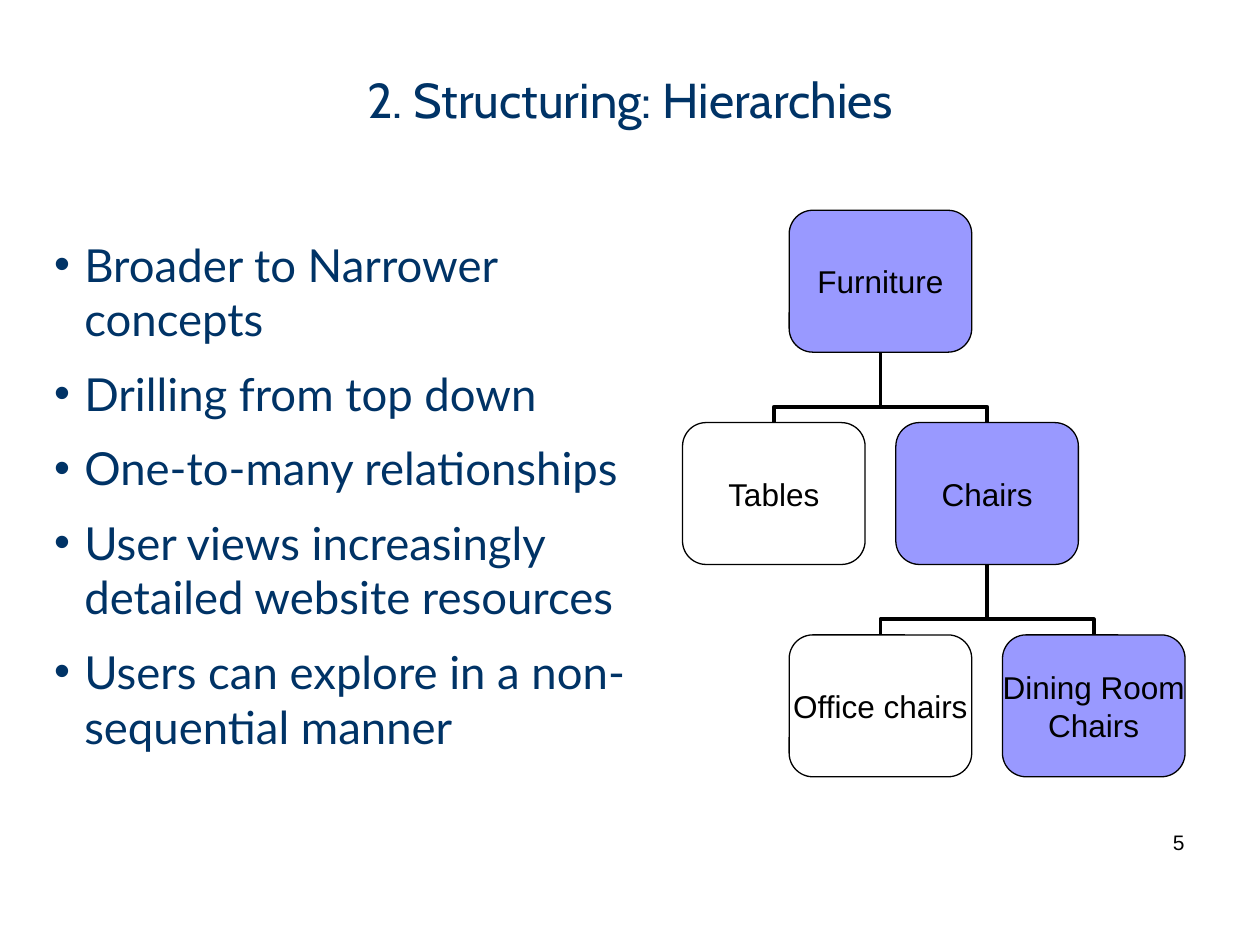
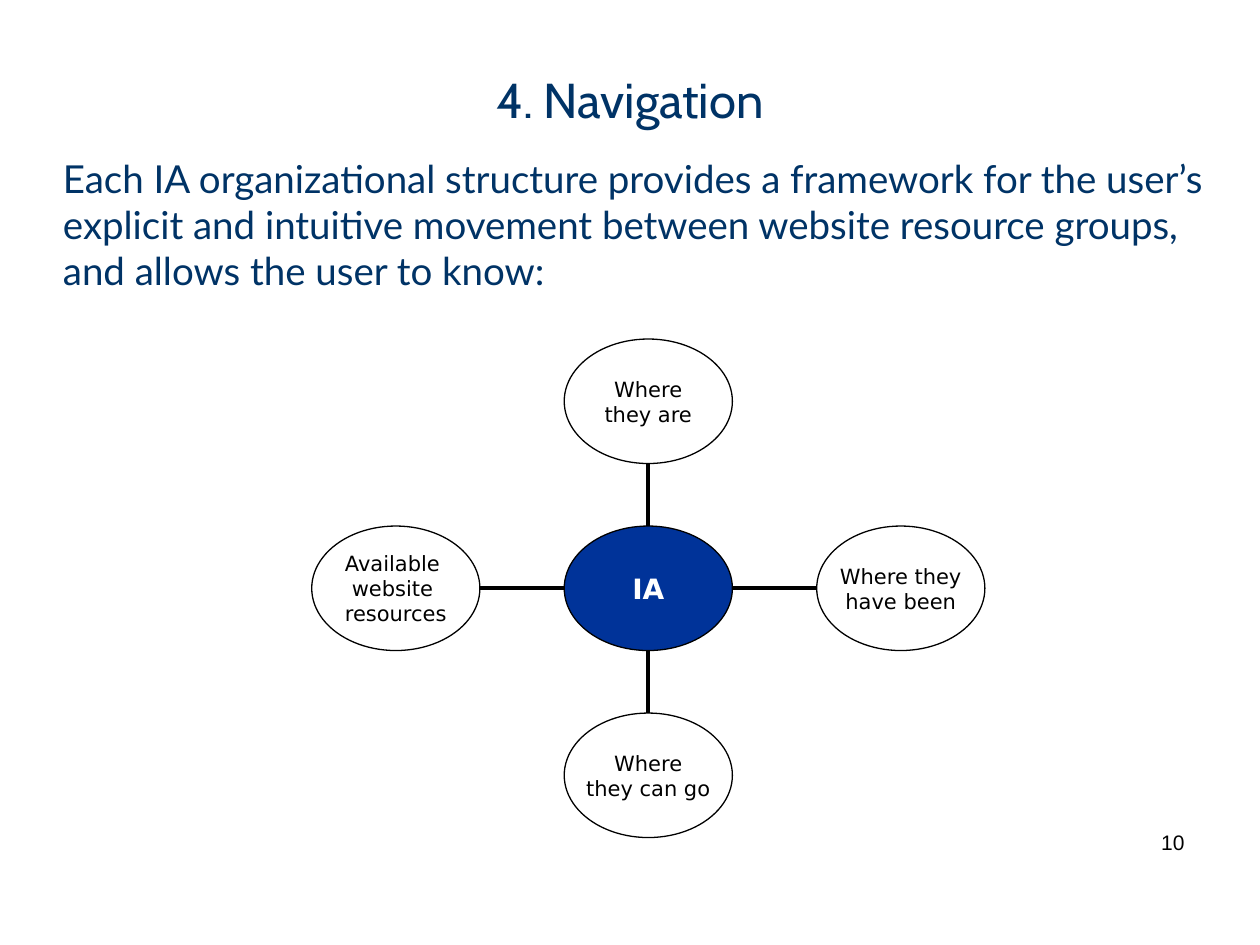
from lxml.etree import SubElement
from pptx import Presentation
from pptx.dml.color import RGBColor
from pptx.enum.shapes import MSO_CONNECTOR as LINE, MSO_SHAPE as SHAPE
from pptx.enum.text import MSO_ANCHOR as ANCHOR, PP_ALIGN as ALIGN
from pptx.oxml.ns import qn
from pptx.util import Cm, Pt

color = RGBColor.from_string
NAVY, BLACK, WHITE = "003366", "000000", "FFFFFF"
LILAC, BLUE = "9999FF", "003399"


def write(shape, text, font, size, ink, align=ALIGN.LEFT, gap=0, bold=False):
    """Fill a shape with uniformly formatted text; gap separates paragraphs."""
    frame = shape.text_frame
    frame.word_wrap = True
    frame.text = text
    for index, paragraph in enumerate(frame.paragraphs):
        paragraph.alignment = align
        if index:
            paragraph.space_before = Pt(gap)
        for run in paragraph.runs:
            run.font.name = font
            run.font.size = Pt(size)
            run.font.bold = bold
            run.font.color.rgb = color(ink)


def add_node(slide, preset, center_x, center_y, width, height, fill):
    """Add an outlined shape around its centre, with tight unwrapped text."""
    node = slide.shapes.add_shape(
        preset, Cm(center_x - width / 2), Cm(center_y - height / 2), Cm(width), Cm(height))
    node.shadow.inherit = False
    node.fill.solid()
    node.fill.fore_color.rgb = color(fill)
    node.line.color.rgb = color(BLACK)
    node.line.width = Pt(0.75)
    frame = node.text_frame
    frame.margin_left = frame.margin_right = frame.margin_top = frame.margin_bottom = 0
    frame.vertical_anchor = ANCHOR.MIDDLE
    return node


prs = Presentation()
prs.slide_width, prs.slide_height = Cm(25.4), Cm(19.05)

# Title and page number on every slide
slides = []
for heading, number in [("2. Structuring: Hierarchies", "5"), ("4. Navigation", "10")]:
    slide = prs.slides.add_slide(prs.slide_layouts[6])
    title = slide.shapes.add_textbox(Cm(1.27), Cm(1.27), Cm(22.86), Cm(1.5))
    write(title, heading, "Cabin", 28, NAVY, ALIGN.CENTER)
    page = slide.shapes.add_textbox(Cm(18.21), Cm(16.59), Cm(5.92), Cm(1.02))
    write(page, number, "Arial", 12, BLACK, ALIGN.RIGHT)
    slides.append(slide)
hierarchy_slide, navigation_slide = slides
connectors = []

# Hierarchies: bullet list
points = [
    "Broader to Narrower concepts",
    "Drilling from top down",
    "One-to-many relationships",
    "User views increasingly detailed website resources",
    "Users can explore in a non-sequential manner",
]
benefits = hierarchy_slide.shapes.add_textbox(Cm(0.84), Cm(4.65), Cm(12.75), Cm(10.59))
write(benefits, "\n".join(points), "Lato", 26, NAVY, gap=11.4)
for paragraph in benefits.text_frame.paragraphs:
    properties = paragraph._p.get_or_add_pPr()
    properties.set("marL", str(Cm(0.61)))
    properties.set("indent", str(-Cm(0.61)))
    SubElement(properties, qn("a:buFont")).set("typeface", "Arial")
    SubElement(properties, qn("a:buChar")).set("char", "•")

# Hierarchies: tree, placed on half-column steps
BOX_W, BOX_H = 3.68, 2.86
COLUMN_STEP, ROW_STEP = 2.15, 4.28
TREE_X, TREE_Y = 15.6, 5.67
branch_rise = ROW_STEP - BOX_H
tree = [  # label, column, row, fill, column of the parent
    ("Furniture", 1, 0, LILAC, None),
    ("Tables", 0, 1, WHITE, 1),
    ("Chairs", 2, 1, LILAC, 1),
    ("Office chairs", 1, 2, WHITE, 2),
    ("Dining Room\nChairs", 3, 2, LILAC, 2),
]
for label, column, row, fill, parent in tree:
    if parent is None:
        continue
    # An elbow leaves sideways, so it is laid out flat and then turned upright
    side = column - parent
    middle_x = TREE_X + (column + parent) / 2 * COLUMN_STEP
    middle_y = TREE_Y + (row - 0.5) * ROW_STEP
    half_rise, half_run = side * branch_rise / 2, COLUMN_STEP / 2
    branch = hierarchy_slide.shapes.add_connector(
        LINE.ELBOW, Cm(middle_x - half_rise), Cm(middle_y + half_run),
        Cm(middle_x + half_rise), Cm(middle_y - half_run))
    properties = branch._element.spPr
    properties.find(qn("a:xfrm")).set("rot", str((270 if side > 0 else 90) * 60000))
    bend = SubElement(properties.find(qn("a:prstGeom")).find(qn("a:avLst")), qn("a:gd"))
    bend.set("name", "adj1")
    bend.set("fmla", "val 22200")
    connectors.append(branch)
for label, column, row, fill, parent in tree:
    box = add_node(hierarchy_slide, SHAPE.ROUNDED_RECTANGLE, TREE_X + column * COLUMN_STEP,
                   TREE_Y + row * ROW_STEP, BOX_W, BOX_H, fill)
    write(box, label, "Arial", 18, BLACK, ALIGN.CENTER)
    box.text_frame.word_wrap = False

# Navigation: introduction
intro = navigation_slide.shapes.add_textbox(Cm(1.02), Cm(3), Cm(23.52), Cm(3.35))
write(intro, "Each IA organizational structure provides a framework for the user’s explicit "
      "and intuitive movement between website resource groups, and allows the user to know:",
      "Lato", 22, NAVY)

# Navigation: hub with four spokes
OVAL_W, OVAL_H = 3.39, 2.51
HUB_X, HUB_Y = 13.07, 11.86
REACH_X, REACH_Y = 5.09, 3.77
wheel = [  # label, horizontal and vertical direction from the hub
    ("Available \vwebsite \vresources", -1, 0),
    ("Where\vthey can go", 0, 1),
    ("Where they\vhave been", 1, 0),
    ("Where\vthey are", 0, -1),
    ("IA", 0, 0),
]
for label, across, down in wheel:
    is_hub = label == "IA"
    if not is_hub:
        connectors.append(navigation_slide.shapes.add_connector(
            LINE.STRAIGHT,
            Cm(HUB_X + across * OVAL_W / 2), Cm(HUB_Y + down * OVAL_H / 2),
            Cm(HUB_X + across * (REACH_X - OVAL_W / 2)),
            Cm(HUB_Y + down * (REACH_Y - OVAL_H / 2))))
    oval = add_node(navigation_slide, SHAPE.OVAL, HUB_X + across * REACH_X,
                    HUB_Y + down * REACH_Y, OVAL_W, OVAL_H, BLUE if is_hub else WHITE)
    write(oval, label, "DejaVu Sans", 16 if is_hub else 12, WHITE if is_hub else BLACK,
          ALIGN.CENTER, bold=is_hub)
    oval.text_frame.word_wrap = False

for connector in connectors:
    connector.line.color.rgb = color(BLACK)
    connector.line.width = Pt(2.25)
    SubElement(connector._element.spPr, qn("a:effectLst"))

prs.save("out.pptx")
